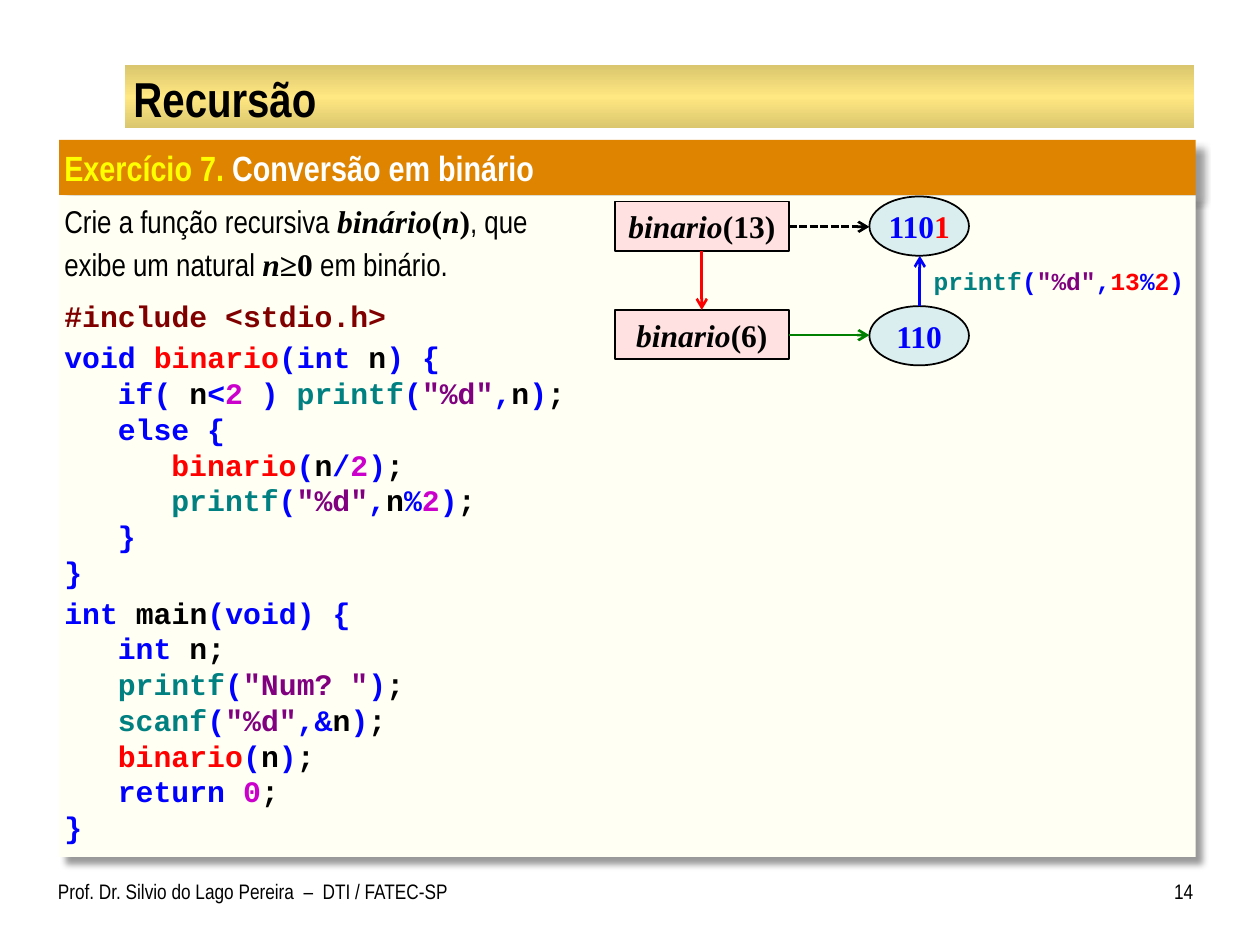
from dataclasses import dataclass
from typing import NamedTuple

from lxml import etree
from pptx import Presentation
from pptx.dml.color import RGBColor
from pptx.enum.dml import MSO_LINE
from pptx.enum.shapes import MSO_CONNECTOR, MSO_SHAPE
from pptx.enum.text import MSO_ANCHOR, PP_ALIGN
from pptx.oxml.ns import qn
from pptx.util import Inches, Pt

RECTANGLE, OVAL = MSO_SHAPE.RECTANGLE, MSO_SHAPE.OVAL
STRAIGHT, DASH = MSO_CONNECTOR.STRAIGHT, MSO_LINE.SQUARE_DOT
TOP, MIDDLE = MSO_ANCHOR.TOP, MSO_ANCHOR.MIDDLE
LEFT, CENTER, RIGHT = PP_ALIGN.LEFT, PP_ALIGN.CENTER, PP_ALIGN.RIGHT

NARROW, MONO, SERIF = "Arial Narrow", "Courier New", "Times New Roman"
BLACK = RGBColor(0x00, 0x00, 0x00)
WHITE = RGBColor(0xFF, 0xFF, 0xFF)
YELLOW = RGBColor(0xFF, 0xFF, 0x00)
BLUE = RGBColor(0x00, 0x00, 0xFF)
RED = RGBColor(0xFF, 0x00, 0x00)
GREEN = RGBColor(0x00, 0x80, 0x00)
TEAL = RGBColor(0x00, 0x80, 0x80)
PURPLE = RGBColor(0x80, 0x00, 0x80)
MAGENTA = RGBColor(0xCC, 0x00, 0xCC)
MAROON = RGBColor(0x80, 0x00, 0x00)
ORANGE = RGBColor(0xDE, 0x84, 0x00)
CREAM = RGBColor(0xFF, 0xFF, 0xF3)
PINK = RGBColor(0xFF, 0xE1, 0xE1)
PALE_BLUE = RGBColor(0xDA, 0xED, 0xEF)
GOLD = RGBColor(0xFF, 0xE7, 0x81)
DARK_GOLD = RGBColor(0xDA, 0xC6, 0x6E)

CODE_SIZE = 17
CODE_INDENT = Pt(3 * 0.6 * CODE_SIZE)  # three monospaced characters


class Run(NamedTuple):
    text: str
    color: RGBColor | None = None
    font: str | None = None
    bold: bool | None = None
    italic: bool | None = None


class Box(NamedTuple):
    left: float
    top: float
    width: float
    height: float


@dataclass
class Line:
    runs: list[Run]
    size: float
    font: str = NARROW
    color: RGBColor = BLACK
    bold: bool = False
    align: PP_ALIGN = LEFT
    before: float = 0
    level: int = 0


@dataclass
class Arrow:
    start: tuple[float, float]
    end: tuple[float, float]
    color: RGBColor
    dashed: bool = False


def math(text: str, italic: bool = False) -> Run:
    return Run(text, font=SERIF, bold=True, italic=italic)


def code(*pieces: tuple[str, RGBColor], level: int = 0, before: float = 0) -> Line:
    return Line([Run(*piece) for piece in pieces], CODE_SIZE, MONO, BLUE, True,
                before=before, level=level)


def write(shape, lines: list[Line], insets=(0.1, 0.05, 0.1, 0.05), anchor=TOP) -> None:
    frame = shape.text_frame
    frame.word_wrap = True
    frame.vertical_anchor = anchor
    (frame.margin_left, frame.margin_top,
     frame.margin_right, frame.margin_bottom) = map(Inches, insets)
    for index, line in enumerate(lines):
        paragraph = frame.add_paragraph() if index else frame.paragraphs[0]
        paragraph.alignment = line.align
        paragraph.space_before = Pt(line.before)
        font = paragraph.font
        font.size, font.name, font.bold = Pt(line.size), line.font, line.bold
        font.color.rgb = line.color
        if line.level:
            properties = paragraph._p.get_or_add_pPr()
            properties.set("marL", str(line.level * CODE_INDENT))
            properties.set("indent", "0")
        for item in line.runs:
            run = paragraph.add_run()
            run.text = item.text
            run.font.name = item.font or line.font
            run.font.size = Pt(line.size)
            run.font.bold = line.bold if item.bold is None else item.bold
            run.font.italic = item.italic
            run.font.color.rgb = item.color or line.color


def add_text(slide, box: Box, line: Line, insets, anchor=TOP) -> None:
    write(slide.shapes.add_textbox(*map(Inches, box)), [line], insets, anchor)


def add_panel(slide, kind, box: Box, fill: RGBColor, outlined: bool = False):
    shape = slide.shapes.add_shape(kind, *map(Inches, box))
    shape.shadow.inherit = False
    shape.fill.solid()
    shape.fill.fore_color.rgb = fill
    if outlined:
        shape.line.color.rgb = BLACK
        shape.line.width = Pt(1)
    else:
        shape.line.fill.background()
    return shape


def add_shadow(shape) -> None:
    effects = shape._element.spPr.find(qn("a:effectLst"))
    shadow = etree.SubElement(effects, qn("a:outerShdw"), blurRad=str(Pt(4)), dist=str(Pt(6)),
                              dir="2700000", algn="tl", rotWithShape="0")
    color = etree.SubElement(shadow, qn("a:srgbClr"), val=str(BLACK))
    etree.SubElement(color, qn("a:alpha"), val="40000")


def add_gold_bar(slide, box: Box) -> None:
    bar = add_panel(slide, RECTANGLE, box, GOLD)
    bar.fill.gradient()
    bar.fill.gradient_angle = 270
    stops = bar.fill._fill._gradFill.gsLst
    for stop in list(stops):
        stops.remove(stop)
    for position, color in ((0, DARK_GOLD), (50000, GOLD), (100000, DARK_GOLD)):
        stop = etree.SubElement(stops, qn("a:gs"), pos=str(position))
        etree.SubElement(stop, qn("a:srgbClr"), val=str(color))


def add_arrow(slide, arrow: Arrow) -> None:
    connector = slide.shapes.add_connector(STRAIGHT, *map(Inches, arrow.start + arrow.end))
    connector.line.color.rgb = arrow.color
    connector.line.width = Pt(1.5)
    if arrow.dashed:
        connector.line.dash_style = DASH
    etree.SubElement(connector.line._get_or_add_ln(), qn("a:tailEnd"), type="arrow")
    etree.SubElement(connector._element.spPr, qn("a:effectLst"))


PRINTF, BINARIO = ("printf", TEAL), ("binario", RED)
OPEN, CLOSE, COMMA, END = ("(", BLUE), (")", BLUE), (",", BLUE), (";", BLACK)
FORMAT, N, TWO, MOD = ('"%d"', PURPLE), ("n", BLACK), ("2", MAGENTA), ("%", BLUE)

EXERCISE = [
    Line([Run("Crie a função recursiva "), math("binário", True), math("("), math("n", True),
          math(")"), Run(", que")], 18, before=3),
    Line([Run("exibe um natural "), math("n", True), math("≥0"), Run(" em binário.")],
         18, before=3),
    code(("#include <stdio.h>", MAROON), before=9),
    code(("void ", BLUE), BINARIO, ("(int", BLUE), (" n", BLACK), (") {", BLUE), before=3),
    code(("if(", BLUE), (" n", BLACK), ("<", BLUE), ("2 ", MAGENTA), (") ", BLUE),
         PRINTF, OPEN, FORMAT, COMMA, N, CLOSE, END, level=1),
    code(("else {", BLUE), level=1),
    code(BINARIO, OPEN, N, ("/", BLUE), TWO, CLOSE, END, level=2),
    code(PRINTF, OPEN, FORMAT, COMMA, N, MOD, TWO, CLOSE, END, level=2),
    code(("}", BLUE), level=1),
    code(("}", BLUE)),
    code(("int ", BLUE), ("main", BLACK), ("(void) {", BLUE), before=3),
    code(("int ", BLUE), N, END, level=1),
    code(PRINTF, OPEN, ('"Num? "', PURPLE), CLOSE, END, level=1),
    code(("scanf", TEAL), OPEN, FORMAT, (",&", BLUE), N, CLOSE, END, level=1),
    code(BINARIO, OPEN, N, CLOSE, END, level=1),
    code(("return ", BLUE), ("0", MAGENTA), END, level=1),
    code(("}", BLUE)),
]
CALLS = [(1.6, "(13)"), (2.46, "(6)")]
RESULTS = [(2.43, [Run("110")]), (1.56, [Run("110"), Run("1", RED)])]
ARROWS = [
    Arrow((5.57, 1.99), (5.57, 2.46), RED),
    Arrow((7.3, 2.43), (7.3, 2.03), BLUE),
    Arrow((6.26, 1.8), (6.9, 1.8), BLACK, dashed=True),
    Arrow((6.26, 2.66), (6.9, 2.66), GREEN),
]


def main() -> None:
    presentation = Presentation()
    presentation.slide_width, presentation.slide_height = Inches(10), Inches(7.5)
    slide = presentation.slides.add_slide(presentation.slide_layouts[6])

    # Title bar and footer
    add_gold_bar(slide, Box(0.99, 0.52, 8.49, 0.5))
    add_text(slide, Box(0.46, 6.92, 3.27, 0.42),
             Line([Run("Prof. Dr. Silvio do Lago Pereira  –  DTI / FATEC-SP")], 12),
             (0, 0.05, 0.1, 0.05))
    add_text(slide, Box(9.08, 6.92, 0.39, 0.42), Line([Run("14")], 12, align=RIGHT),
             (0.1, 0.05, 0, 0.05))
    add_text(slide, Box(1, 0.54, 8.47, 0.47), Line([Run("Recursão")], 28, bold=True),
             (0.06, 0.01, 0.06, 0.01), MIDDLE)

    # Exercise heading and body
    heading = Line([Run("Exercício 7.", YELLOW), Run(" Conversão em binário")],
                   20, color=WHITE, bold=True)
    for box, fill, lines in ((Box(0.47, 1.11, 9.02, 0.44), ORANGE, [heading]),
                             (Box(0.47, 1.55, 9.02, 5.25), CREAM, EXERCISE)):
        panel = add_panel(slide, RECTANGLE, box, fill)
        add_shadow(panel)
        write(panel, lines, (0.04, 0.05, 0.04, 0.05))

    # Recursion diagram
    for top, argument in CALLS:
        call = add_panel(slide, RECTANGLE, Box(4.88, top, 1.38, 0.39), PINK, outlined=True)
        write(call, [Line([math("binario", True), math(argument)], 18, align=CENTER)],
              (0.1, 0.04, 0.1, 0.04), MIDDLE)
    for top, runs in RESULTS:
        result = add_panel(slide, OVAL, Box(6.9, top, 0.79, 0.47), PALE_BLUE, outlined=True)
        write(result, [Line(runs, 18, SERIF, BLUE, True, CENTER)], (0, 0.05, 0, 0.05), MIDDLE)
    for arrow in ARROWS:
        add_arrow(slide, arrow)
    print_call = [PRINTF, OPEN, FORMAT, COMMA, ("13", RED), MOD, ("2", RED), CLOSE]
    add_text(slide, Box(7.41, 2.03, 2.01, 0.39),
             Line([Run(*piece) for piece in print_call], 14, MONO, bold=True),
             (0, 0.04, 0, 0.04), MIDDLE)

    presentation.save("out.pptx")


if __name__ == "__main__":
    main()
